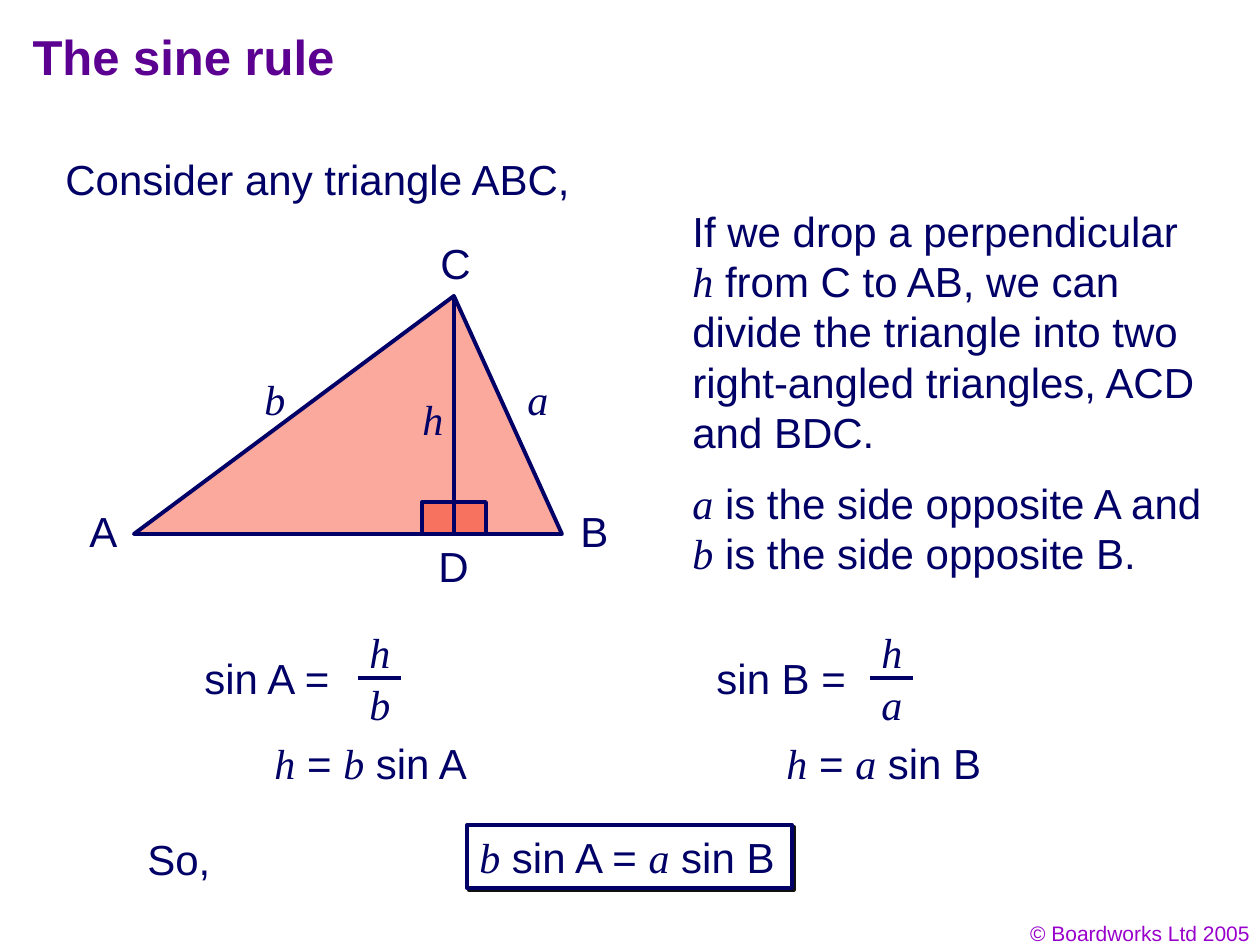
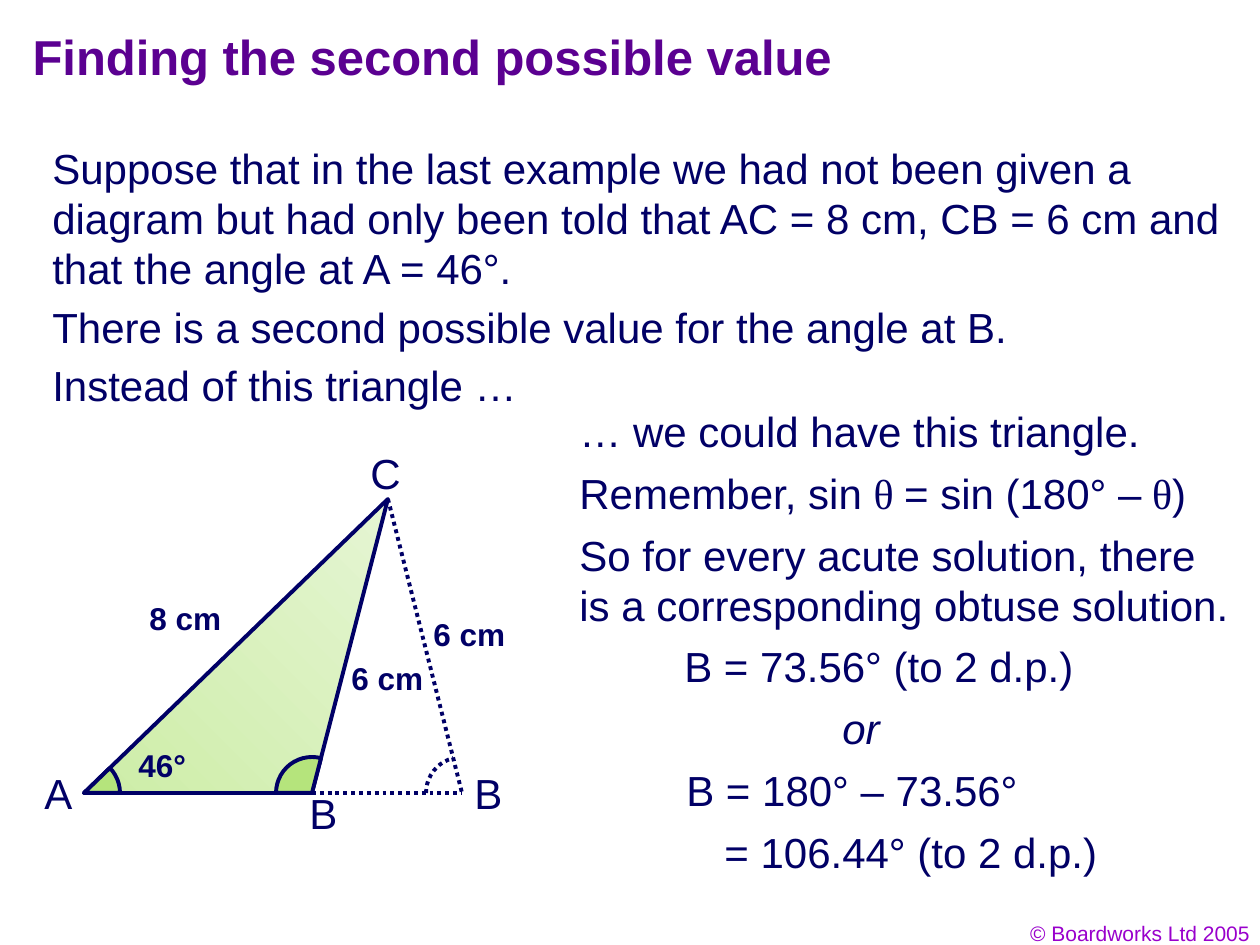
from dataclasses import dataclass
from math import atan2, degrees

from lxml.etree import SubElement
from pptx import Presentation
from pptx.dml.color import RGBColor
from pptx.enum.dml import MSO_LINE
from pptx.enum.shapes import MSO_CONNECTOR, MSO_SHAPE
from pptx.enum.text import MSO_ANCHOR, MSO_AUTO_SIZE, PP_ALIGN
from pptx.oxml.ns import qn
from pptx.util import Inches, Pt

SCALE = 914400 / 126  # EMU in one px
COLOURS = {
    "title": "5B0091", "text": "010066", "line": "000066", "footer": "9900CC",
    "pink": "FBA89D", "coral": "F87260", "green": "B5E47C",
    "pale green": "E5F5D3", "mid green": "CDEDA7",
    "white": "FFFFFF", "shadow": "111111",
}
SANS, SERIF = "Arial", "Times New Roman"
LINE_WIDTH = Pt(2.25)
TITLE_ONLY = 5
ROW = 63  # height of a box with one line of text


@dataclass
class Box:
    left: int
    top: int
    width: int
    height: int

    def inner(self, left, top, width, height=ROW):
        return Box(self.left + left, self.top + top, width, height)

    def point(self, x, y):
        return self.left + x, self.top + y

    def emu(self):
        return [emu(n) for n in (self.left, self.top, self.width, self.height)]


def emu(pixels):
    return round(pixels * SCALE)


def colour(name):
    return RGBColor.from_string(COLOURS[name])


# Shared text and line styles
def fill_text(frame, text, size=24, ink="text", bold=False, italic=False, wrap=False):
    """Write one paragraph; words between asterisks are serif variables."""
    frame.word_wrap = wrap
    frame.auto_size = MSO_AUTO_SIZE.NONE
    frame.vertical_anchor = MSO_ANCHOR.TOP
    para = frame.paragraphs[0]
    para.alignment = PP_ALIGN.LEFT
    para.space_before = Pt(0)
    para.line_spacing = Pt(size * 1.2)
    for index, words in enumerate(text.split("*")):
        if not words:
            continue
        variable = index % 2 == 1
        span = para.add_run()
        span.text = words
        span.font.name = SERIF if variable else SANS
        span.font.size = Pt(size)
        span.font.bold = bold
        span.font.italic = italic or (variable and "θ" not in words)
        span.font.color.rgb = colour(ink)


def add_text(page, box, text, **style):
    frame = page.shapes.add_textbox(*box.emu()).text_frame
    fill_text(frame, text, **style)
    return frame


def style_line(line, dotted=False):
    line.color.rgb = colour("line")
    line.width = LINE_WIDTH
    if dotted:
        line.dash_style = MSO_LINE.ROUND_DOT


def style_shape(shape, fill=None, dotted=False):
    shape.shadow.inherit = False
    if fill:
        shape.fill.solid()
        shape.fill.fore_color.rgb = colour(fill)
    else:
        shape.fill.background()
    style_line(shape.line, dotted)


# Geometry
def add_line(page, start, end, dotted=False):
    ends = [emu(n) for n in (*start, *end)]
    line = page.shapes.add_connector(MSO_CONNECTOR.STRAIGHT, *ends)
    style_line(line.line, dotted)
    SubElement(line._element.spPr, qn("a:effectLst"))


def add_triangle(page, corners, fill):
    builder = page.shapes.build_freeform(*corners[0], scale=SCALE)
    builder.add_line_segments(corners[1:], close=True)
    triangle = builder.convert_to_shape()
    style_shape(triangle, fill)
    return triangle


def add_angle(page, corner, first, second, fill=None):
    """Mark the angle clockwise from first to second: a wedge, or a dotted arc."""
    radius = 36
    x, y = corner
    box = Box(x - radius, y - radius, 2 * radius, 2 * radius)
    mark = page.shapes.add_shape(MSO_SHAPE.PIE if fill else MSO_SHAPE.ARC, *box.emu())
    for index, (end_x, end_y) in enumerate((first, second)):
        angle = degrees(atan2(end_y - y, end_x - x)) % 360
        mark.adjustments[index] = angle * 0.6
    style_shape(mark, fill, dotted=not fill)


# Page with title and footer
def add_page(deck, title):
    page = deck.slides.add_slide(deck.slide_layouts[TITLE_ONLY])
    heading = page.shapes.title
    heading.left, heading.top, heading.width, heading.height = Box(20, 20, 1071, 84).emu()
    fill_text(heading.text_frame, title, size=28, ink="title", bold=True, wrap=True)
    footer = add_text(page, Box(969, 914, 291, 31), "© Boardworks Ltd 2005",
                      size=12, ink="footer", wrap=True)
    footer.margin_right = emu(10)
    footer.paragraphs[0].alignment = PP_ALIGN.RIGHT
    return page


# Sine rule: triangle with its height
def draw_height_triangle(page, box):
    a, b, c = box.point(0, 238), box.point(428, 238), box.point(320, 0)
    foot = box.point(320, 238)
    add_triangle(page, (a, b, c), "pink")
    side = 32
    for left in (320 - side, 320):
        square = page.shapes.add_shape(
            MSO_SHAPE.RECTANGLE, *box.inner(left, 238 - side, side, side).emu())
        style_shape(square, "coral")
    add_line(page, c, foot)
    for label, left, top, width in (
        ("C", 294, -65, 55), ("A", -57, 203, 53), ("B", 434, 203, 53),
        ("D", 292, 238, 55), ("*b*", 118, 71, 45), ("*a*", 381, 71, 45),
        ("*h*", 276, 91, 45),
    ):
        add_text(page, box.inner(left, top, width), label)


# Sine rule: one ratio and what follows from it
def draw_ratio(page, box, angle, side):
    add_text(page, box.inner(0, 26, 155), f"sin {angle} =")
    add_text(page, box.inner(165, 0, 45), "*h*")
    add_line(page, box.point(166, 58), box.point(209, 58))
    add_text(page, box.inner(165, 52, 45), f"*{side}*")
    add_text(page, box.inner(70, 111, 219), f"*h* = *{side}* sin {angle}")


# Sine rule: framed result
def draw_result(page, box):
    add_text(page, box.inner(0, 2, 88), "So,")
    frame = page.shapes.add_shape(MSO_SHAPE.RECTANGLE, *box.inner(332, 0, 325).emu())
    style_shape(frame, "white")
    effects = frame._element.spPr.find(qn("a:effectLst"))
    shadow = SubElement(effects, qn("a:outerShdw"), dist=str(Pt(1.4)),
                        dir=str(45 * 60000), algn="ctr", rotWithShape="0")
    SubElement(shadow, qn("a:srgbClr"), val=COLOURS["shadow"])
    fill_text(frame.text_frame, "*b* sin A = *a* sin B")


def build_sine_rule(deck):
    page = add_page(deck, "The sine rule")
    add_text(page, Box(53, 147, 532, ROW), "Consider any triangle ABC,")
    draw_height_triangle(page, Box(134, 296, 428, 238))
    add_text(page, Box(680, 199, 538, 265),
             "If we drop a perpendicular *h* from C to AB, we can divide the triangle "
             "into two right-angled triangles, ACD and BDC.", wrap=True)
    add_text(page, Box(680, 471, 558, 113),
             "*a* is the side opposite A and *b* is the side opposite B.", wrap=True)
    for left, angle, side in ((192, "A", "b"), (704, "B", "a")):
        draw_ratio(page, Box(left, 620, 289, 174), angle, side)
    draw_result(page, Box(135, 825, 657, 65))


# Second value: obtuse triangle with the acute one dotted
def draw_two_triangles(page, box):
    a, c = box.point(0, 294), box.point(304, 0)
    obtuse_b, acute_b = box.point(228, 294), box.point(378, 294)
    triangle = add_triangle(page, (a, obtuse_b, c), "pale green")
    triangle.fill.gradient()
    triangle.fill.gradient_angle = 225
    for stop, name, position in zip(
            triangle.fill.gradient_stops, ("pale green", "mid green"), (0, 1)):
        stop.color.rgb = colour(name)
        stop.position = position
    add_angle(page, a, c, obtuse_b, "green")
    add_angle(page, obtuse_b, a, c, "green")
    add_line(page, c, acute_b, dotted=True)
    add_line(page, obtuse_b, acute_b, dotted=True)
    add_angle(page, acute_b, a, c)
    for label, left, top, width in (
        ("A", -52, 262, 53), ("B", 378, 262, 53), ("B", 213, 282, 53), ("C", 274, -58, 55),
    ):
        add_text(page, box.inner(left, top, width), label)
    for label, left, top, width in (
        ("8 cm", 53, 94, 97), ("6 cm", 337, 110, 97),
        ("6 cm", 255, 154, 97), ("46°", 42, 241, 73),
    ):
        add_text(page, box.inner(left, top, width, 50), label, size=18, bold=True)


# Second value: reasoning beside the triangles
def draw_reasoning(page, box):
    top = 0
    for left, width, height, text, style in (
        (0, 621, ROW, "… we could have this triangle.", {"wrap": True}),
        (0, 662, ROW, "Remember, sin *θ *= sin (180° –* θ*)", {"wrap": True}),
        (0, 683, 112, "So for every acute solution, there is a corresponding "
                      "obtuse solution.", {"wrap": True}),
        (105, 413, ROW, "B = 73.56° (to 2 d.p.)", {}),
        (263, 62, ROW, "or", {"italic": True}),
        (107, 355, ROW, "B = 180° – 73.56°", {}),
        (145, 398, ROW, "= 106.44° (to 2 d.p.)", {}),
    ):
        add_text(page, box.inner(left, top, width, height), text, **style)
        top += height - 1


def build_second_value(deck):
    page = add_page(deck, "Finding the second possible value")
    for top, height, text in (
        (136, 164, "Suppose that in the last example we had not been given a diagram but "
                   "had only been told that AC = 8 cm, CB = 6 cm and that the angle at "
                   "A = 46°."),
        (295, ROW, "There is a second possible value for the angle at B."),
        (353, ROW, "Instead of this triangle …"),
    ):
        add_text(page, Box(40, top, 1200, height), text, wrap=True)
    draw_two_triangles(page, Box(84, 499, 378, 294))
    draw_reasoning(page, Box(567, 399, 683, 483))


def main():
    deck = Presentation()
    deck.slide_width, deck.slide_height = Inches(10), Inches(7.5)
    build_sine_rule(deck)
    build_second_value(deck)
    deck.save("out.pptx")


if __name__ == "__main__":
    main()
